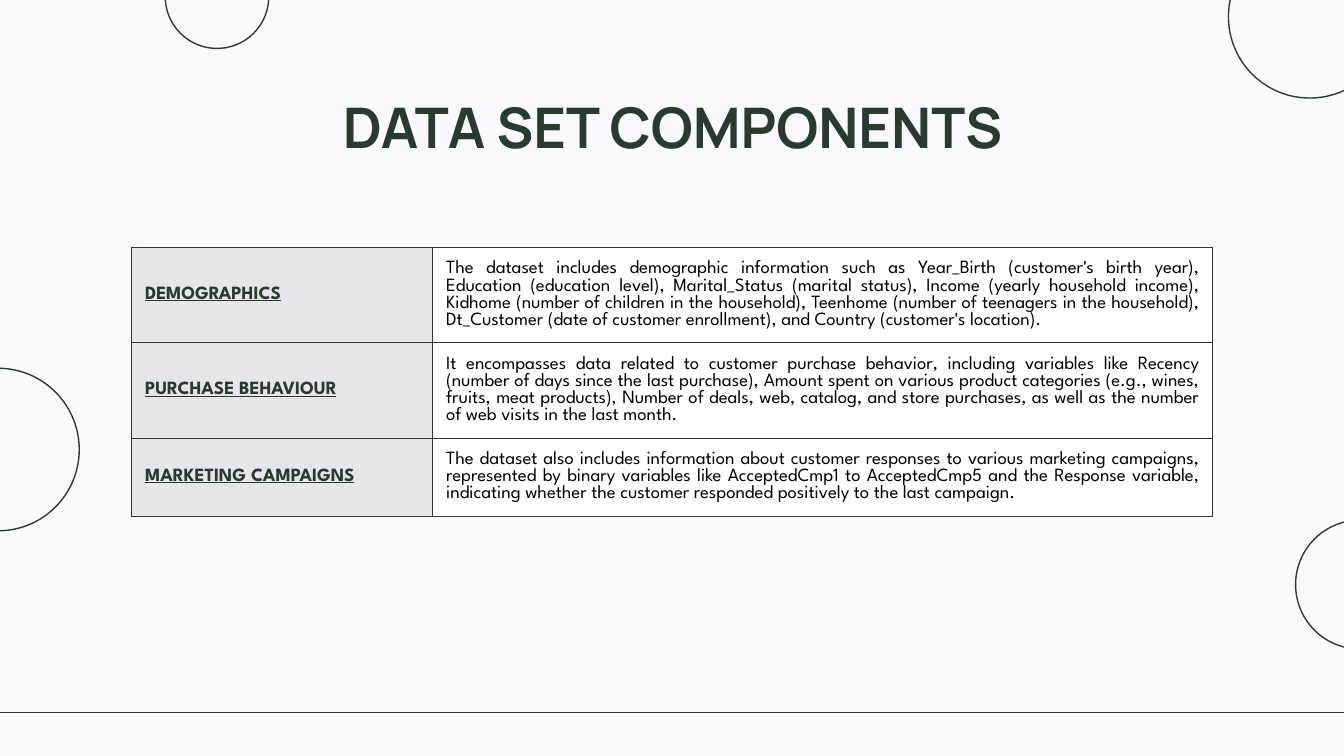
import pptx
import pptx.util
import pptx.dml.color
import pptx.enum.shapes
import pptx.enum.text
import pptx.oxml
import pptx.oxml.ns
from pptx.util import Inches

HEX = {"back": "F9F9FF", "green": "2B3A2F", "label": "E7E5EC",
       "white": "FFFFFF", "black": "000000"}
ALIGN = pptx.enum.text.PP_ALIGN
ANCHOR = pptx.enum.text.MSO_ANCHOR


def shade(name):
    return pptx.dml.color.RGBColor.from_string(HEX[name])


def write(frame, text, font="League Spartan", size=10, color="green",
          bold=False, under=False, align=ALIGN.LEFT):
    part = frame.paragraphs[0]
    part.alignment = align
    run = part.add_run()
    run.text = text
    run.font.name = font
    run.font.size = pptx.util.Pt(size)
    run.font.bold = bold
    run.font.underline = under
    run.font.color.rgb = shade(color)


# Slide in 16:9 and its background
deck = pptx.Presentation()
deck.slide_width = Inches(10)
deck.slide_height = Inches(10) * 9 // 16
slide = deck.slides.add_slide(deck.slide_layouts[5])
slide.background.fill.solid()
slide.background.fill.fore_color.rgb = shade("back")

# Bottom rule
rule = slide.shapes.add_connector(
    pptx.enum.shapes.MSO_CONNECTOR.STRAIGHT,
    Inches(-0.02), Inches(5.3), Inches(10.02), Inches(5.3))
rule.line.color.rgb = shade("green")
rule.line.width = pptx.util.Pt(0.75)
rule._element.spPr.append(pptx.oxml.parse_xml(
    f'<a:effectLst {pptx.oxml.ns.nsdecls("a")}/>'))

# Circles at the edges: left, top, diameter
for left, top, size in [(1.23, -0.41, 0.77), (9.64, 3.87, 0.96),
                        (-0.62, 2.74, 1.21), (9.14, -0.48, 1.21)]:
    ring = slide.shapes.add_shape(
        pptx.enum.shapes.MSO_SHAPE.OVAL,
        Inches(left), Inches(top), Inches(size), Inches(size))
    ring.shadow.inherit = False
    ring.fill.background()
    ring.line.color.rgb = shade("green")
    ring.line.width = pptx.util.Pt(0.75)

# Title
title = slide.shapes.title
title.left, title.top = Inches(0.79), Inches(0.59)
title.width, title.height = Inches(8.43), Inches(0.63)
frame = title.text_frame
frame.word_wrap = True
frame.auto_size = pptx.enum.text.MSO_AUTO_SIZE.NONE
frame.vertical_anchor = ANCHOR.TOP
frame.margin_left = frame.margin_right = Inches(0.1)
frame.margin_top = frame.margin_bottom = Inches(0.1)
write(frame, "DATA SET COMPONENTS", font="Manrope", size=30, bold=True,
      align=ALIGN.CENTER)

# Table of components: label, row height, description
rows = [
    ("DEMOGRAPHICS", 0.71,
     "The dataset includes demographic information such as Year_Birth "
     "(customer's birth year), Education (education level), Marital_Status "
     "(marital status), Income (yearly household income), Kidhome (number of "
     "children in the household), Teenhome (number of teenagers in the "
     "household), Dt_Customer (date of customer enrollment), and Country "
     "(customer's location)."),
    ("PURCHASE BEHAVIOUR", 0.71,
     "It encompasses data related to customer purchase behavior, including "
     "variables like Recency (number of days since the last purchase), Amount "
     "spent on various product categories (e.g., wines, fruits, meat "
     "products), Number of deals, web, catalog, and store purchases, as well "
     "as the number of web visits in the last month."),
    ("MARKETING CAMPAIGNS", 0.58,
     "The dataset also includes information about customer responses to "
     "various marketing campaigns, represented by binary variables like "
     "AcceptedCmp1 to AcceptedCmp5 and the Response variable, indicating "
     "whether the customer responded positively to the last campaign."),
]
table = slide.shapes.add_table(
    len(rows), 2, Inches(0.98), Inches(1.84), Inches(8.04), Inches(2)).table
table.first_row = table.horz_banding = False
table.columns[0].width, table.columns[1].width = Inches(2.24), Inches(5.8)

for row, (label, height, text) in enumerate(rows):
    table.rows[row].height = Inches(height)
    left, right = table.cell(row, 0), table.cell(row, 1)
    write(left.text_frame, label, bold=True, under=True)
    write(right.text_frame, text, color="black", align=ALIGN.JUSTIFY)
    for cell, fill in [(left, "label"), (right, "white")]:
        cell.vertical_anchor = ANCHOR.MIDDLE
        cell.margin_left = cell.margin_right = Inches(0.1)
        cell.margin_top = cell.margin_bottom = Inches(0.1)
        # Borders come before the fill in the cell properties
        for side in ["lnL", "lnR", "lnT", "lnB"]:
            cell._tc.get_or_add_tcPr().append(pptx.oxml.parse_xml(
                f'<a:{side} {pptx.oxml.ns.nsdecls("a")} w="9525"><a:solidFill>'
                f'<a:srgbClr val="{HEX["green"]}"/></a:solidFill></a:{side}>'))
        cell.fill.solid()
        cell.fill.fore_color.rgb = shade(fill)

deck.save("out.pptx")
